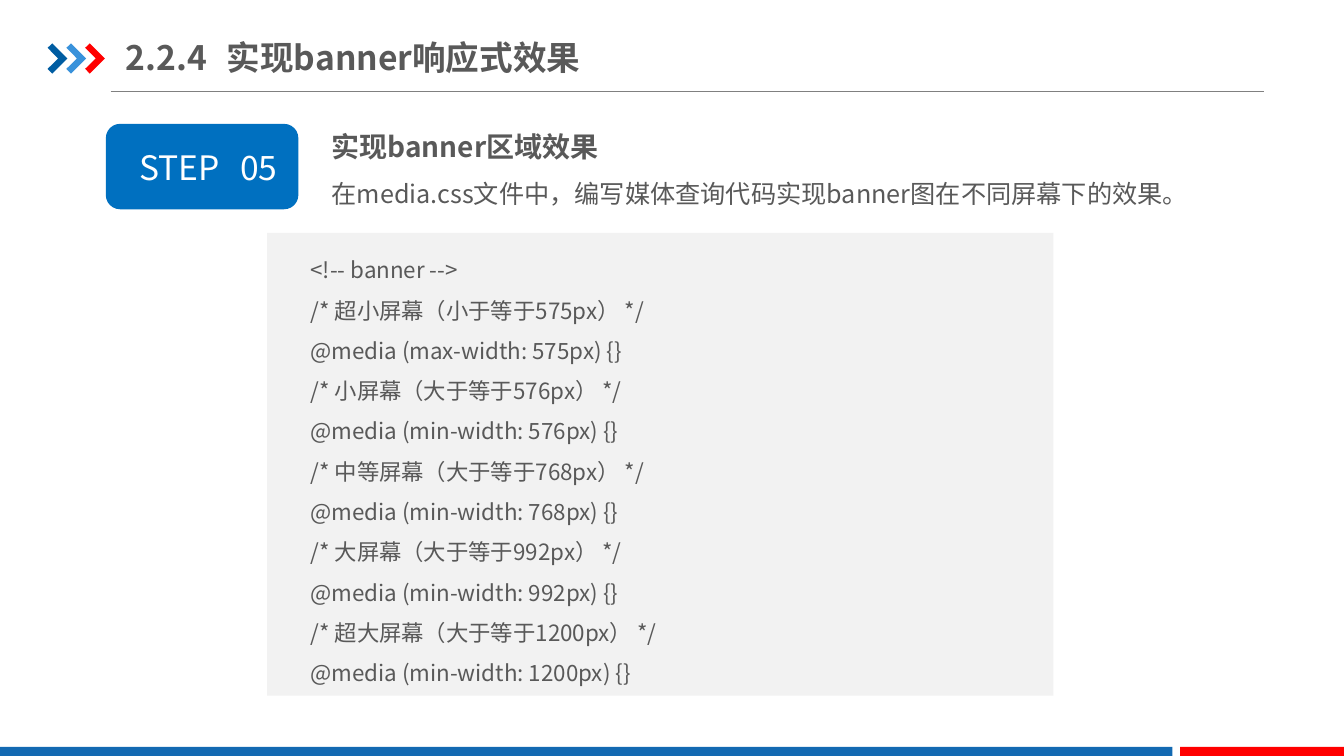
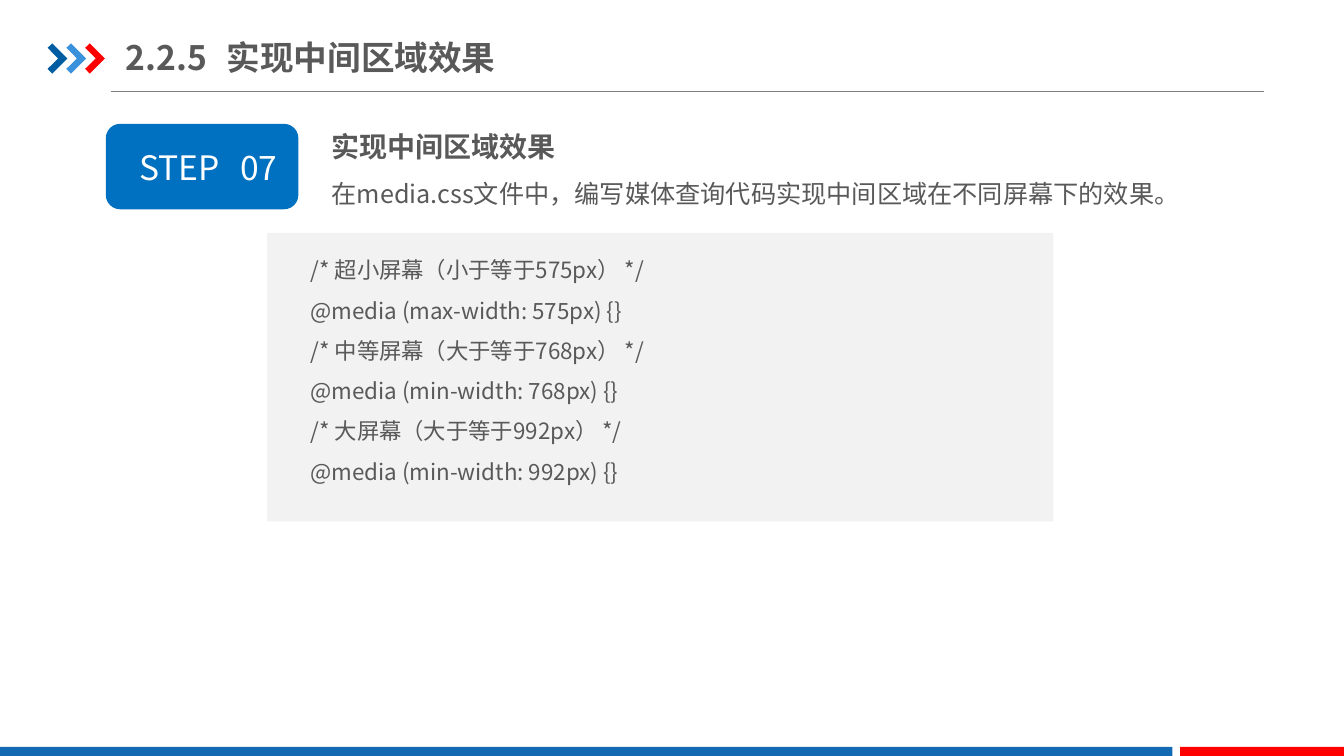
from lxml import etree
from pptx import Presentation
from pptx import oxml
from pptx.dml.color import RGBColor
from pptx.enum import shapes, text
from pptx.oxml.ns import qn
from pptx.util import Pt

COLOURS = {
    "text": "595959", "rule": "808080", "panel": "F2F2F2", "badge": "0070C0",
    "navy": "005DA2", "sky": "3992DB", "red": "FF0000", "band": "1369B2",
    "white": "FFFFFF",
}
FONT = "Noto Sans CJK SC"
WIDTH, HEIGHT = 960, 540
CHEVRON = [(0, 3.2), (3.4, 0), (14.2, 10.8), (3.4, 21.6), (0, 18.2), (7.6, 10.8)]

LESSONS = [
    {
        "number": "2.2.4", "title": "实现banner响应式效果", "step": "05",
        "heading": "实现banner区域效果",
        "task": "在media.css文件中，编写媒体查询代码实现banner图在不同屏幕下的效果。",
        "panel_height": 330.5,
        "code": [
            "<!-- banner -->",
            "/* 超小屏幕（小于等于575px） */",
            "@media (max-width: 575px) {}",
            "/* 小屏幕（大于等于576px） */",
            "@media (min-width: 576px) {}",
            "/* 中等屏幕（大于等于768px） */",
            "@media (min-width: 768px) {}",
            "/* 大屏幕（大于等于992px） */",
            "@media (min-width: 992px) {}",
            "/* 超大屏幕（大于等于1200px） */",
            "@media (min-width: 1200px) {}",
        ],
    },
    {
        "number": "2.2.5", "title": "实现中间区域效果", "step": "07",
        "heading": "实现中间区域效果",
        "task": "在media.css文件中，编写媒体查询代码实现中间区域在不同屏幕下的效果。",
        "panel_height": 206,
        "code": [
            "/* 超小屏幕（小于等于575px） */",
            "@media (max-width: 575px) {}",
            "/* 中等屏幕（大于等于768px） */",
            "@media (min-width: 768px) {}",
            "/* 大屏幕（大于等于992px） */",
            "@media (min-width: 992px) {}",
        ],
    },
]


def rgb(name):
    return RGBColor.from_string(COLOURS[name])


class Deck:
    def __init__(self):
        self.prs = Presentation()
        self.prs.slide_width, self.prs.slide_height = Pt(WIDTH), Pt(HEIGHT)
        self.slide = None

    def new_slide(self):
        self.slide = self.prs.slides.add_slide(self.prs.slide_layouts[1])
        self.rule(79, 903, 65.5)
        for index, colour in enumerate(("navy", "sky", "red")):
            self.chevron(34 + 13.4 * index, 31, colour)
        self.box(0, 533.5, 837.5, 6.5, "band")
        self.box(843, 533.5, WIDTH - 843, 6.5, "red")

    def paint(self, shape, colour):
        shape.shadow.inherit = False
        shape.fill.solid()
        shape.fill.fore_color.rgb = rgb(colour)
        shape.line.fill.background()

    def rule(self, left, right, top):
        line = self.slide.shapes.add_connector(
            shapes.MSO_CONNECTOR.STRAIGHT, Pt(left), Pt(top), Pt(right), Pt(top))
        line.line.color.rgb = rgb("rule")
        line.line.width = Pt(0.75)
        etree.SubElement(line.element.spPr, qn("a:effectLst"))

    def chevron(self, left, top, colour):
        start, *rest = [(Pt(left + x), Pt(top + y)) for x, y in CHEVRON]
        outline = self.slide.shapes.build_freeform(*start)
        outline.add_line_segments(rest, close=True)
        self.paint(outline.convert_to_shape(), colour)

    def box(self, left, top, width, height, colour, rounded=False):
        kind = shapes.MSO_SHAPE.ROUNDED_RECTANGLE if rounded else shapes.MSO_SHAPE.RECTANGLE
        shape = self.slide.shapes.add_shape(kind, Pt(left), Pt(top), Pt(width), Pt(height))
        self.paint(shape, colour)
        return shape

    def place(self, holder, left, top, width, height):
        holder.left, holder.top = Pt(left), Pt(top)
        holder.width, holder.height = Pt(width), Pt(height)

    def frame(self, shape, margins, anchor):
        """Set the insets (left, top, right, bottom) and anchor of a shape's text."""
        frame = shape.text_frame
        frame.margin_left, frame.margin_top, frame.margin_right, frame.margin_bottom = map(Pt, margins)
        frame.vertical_anchor = anchor
        frame.word_wrap = True
        frame.auto_size = text.MSO_AUTO_SIZE.NONE

    def style(self, paragraph, size, colour="text", bold=False, spacing=1.0, tab=None):
        """Format a paragraph without bullet, with an optional tab stop in points."""
        props = paragraph._p.get_or_add_pPr()
        props.set("marL", "0")
        props.set("indent", "0")
        etree.SubElement(props, qn("a:buNone"))
        if tab:
            stops = etree.SubElement(props, qn("a:tabLst"))
            etree.SubElement(stops, qn("a:tab"), pos=str(Pt(tab)), algn="l")
        paragraph.alignment = text.PP_ALIGN.LEFT
        paragraph.line_spacing = spacing
        paragraph.space_before = Pt(0)
        for run in paragraph.runs:
            run.font.size, run.font.bold, run.font.name = Pt(size), bold, FONT
            run.font.color.rgb = rgb(colour)
            etree.SubElement(run.font._element, qn("a:ea"), typeface=FONT)

    def title(self, number, wording):
        holder = self.slide.shapes.title
        self.place(holder, 90, 21, 384, 40)
        self.frame(holder, (0, 5, 0, 5), text.MSO_ANCHOR.MIDDLE)
        holder.text_frame.text = f"{number}\t{wording}"
        self.style(holder.text_frame.paragraphs[0], 24, bold=True, tab=75)

    def step(self, number):
        badge = self.box(75.6, 88.5, 137.5, 61, "badge", rounded=True)
        self.frame(badge, (21, 4, 4, 4), text.MSO_ANCHOR.MIDDLE)
        badge.text_frame.text = f"STEP\t{number}"
        self.style(badge.text_frame.paragraphs[0], 24, "white", tab=72)

    def task(self, heading, wording):
        holder = self.slide.placeholders[1]
        self.place(holder, 229.7, 77, 681, 76.5)
        self.frame(holder, (7.2, 3.6, 7.2, 3.6), text.MSO_ANCHOR.TOP)
        holder.text_frame.text = f"{heading}\n{wording}"
        first, second = holder.text_frame.paragraphs
        self.style(first, 20, bold=True, spacing=1.5)
        self.style(second, 18, spacing=1.5)

    def code(self, lines, height):
        panel = self.box(190.8, 166.4, 561.6, height, "panel")
        self.frame(panel, (31, 7.2, 7.2, 0), text.MSO_ANCHOR.TOP)
        panel.text_frame.text = "\n".join(lines)
        for paragraph in panel.text_frame.paragraphs:
            self.style(paragraph, 16, spacing=1.5)


def main():
    deck = Deck()
    for lesson in LESSONS:
        deck.new_slide()
        deck.title(lesson["number"], lesson["title"])
        deck.step(lesson["step"])
        deck.task(lesson["heading"], lesson["task"])
        deck.code(lesson["code"], lesson["panel_height"])
    deck.prs.save("out.pptx")


if __name__ == "__main__":
    main()
